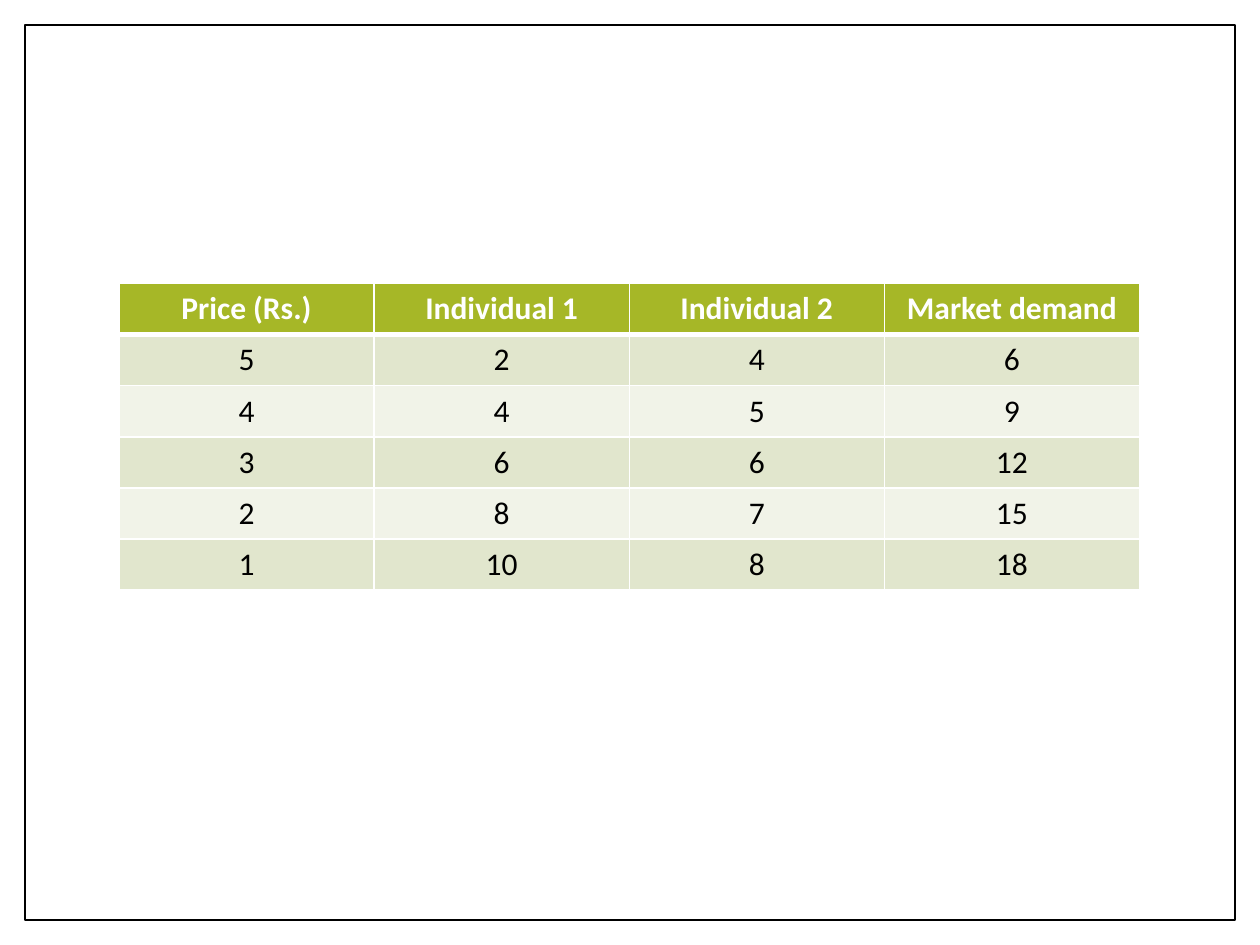
import pptx
import pptx.dml.color
import pptx.enum.shapes
import pptx.enum.text
import pptx.oxml.ns
import pptx.util
from lxml import etree

Pt = pptx.util.Pt
qn = pptx.oxml.ns.qn

COLORS = {
    "white": "FFFFFF",
    "black": "000000",
    "header": "A6B727",
    "odd": "E1E6CD",
    "even": "F1F3E8",
}
DEMAND = [
    ("Price (Rs.)", "Individual 1", "Individual 2", "Market demand"),
    ("5", "2", "4", "6"),
    ("4", "4", "5", "9"),
    ("3", "6", "6", "12"),
    ("2", "8", "7", "15"),
    ("1", "10", "8", "18"),
]
COLUMN_WIDTH = 145.8
ROW_HEIGHT = 29.2


def color(name):
    return pptx.dml.color.RGBColor.from_string(COLORS[name])


def add_frame(page, margin, width, height):
    frame = page.shapes.add_shape(
        pptx.enum.shapes.MSO_SHAPE.RECTANGLE,
        Pt(margin), Pt(margin), Pt(width - 2 * margin), Pt(height - 2 * margin),
    )
    frame.shadow.inherit = False
    frame.fill.solid()
    frame.fill.fore_color.rgb = color("white")
    frame.line.color.rgb = color("black")
    frame.line.width = Pt(1)


def add_border(cell, side, width):
    properties = cell._tc.get_or_add_tcPr()
    border = etree.SubElement(properties, qn(f"a:ln{side}"), w=str(Pt(width)))
    fill = etree.SubElement(border, qn("a:solidFill"))
    etree.SubElement(fill, qn("a:srgbClr"), val=COLORS["white"])


def fill_cell(cell, text, row):
    is_header = row == 0
    widths = {"L": 1, "R": 1, "T": 3 if row == 1 else 1, "B": 3 if is_header else 1}
    for side, width in widths.items():
        add_border(cell, side, width)
    cell.fill.solid()
    cell.fill.fore_color.rgb = color("header" if is_header else "odd" if row % 2 else "even")
    para = cell.text_frame.paragraphs[0]
    para.alignment = pptx.enum.text.PP_ALIGN.CENTER
    span = para.add_run()
    span.text = text
    span.font.name = "Calibri"
    span.font.size = Pt(18)
    span.font.bold = is_header
    span.font.color.rgb = color("white" if is_header else "black")


def add_demand_table(page, left, top):
    rows, columns = len(DEMAND), len(DEMAND[0])
    table = page.shapes.add_table(
        rows, columns, Pt(left), Pt(top),
        Pt(columns * COLUMN_WIDTH), Pt(rows * ROW_HEIGHT),
    ).table
    for column in table.columns:
        column.width = Pt(COLUMN_WIDTH)
    for row, values in enumerate(DEMAND):
        table.rows[row].height = Pt(ROW_HEIGHT)
        for column, text in enumerate(values):
            fill_cell(table.cell(row, column), text, row)


def main():
    deck = pptx.Presentation()
    deck.slide_width, deck.slide_height = Pt(720), Pt(540)
    page = deck.slides.add_slide(deck.slide_layouts[6])
    add_frame(page, 14.4, 720, 540)
    add_demand_table(page, 68, 162)
    deck.save("out.pptx")


if __name__ == "__main__":
    main()
